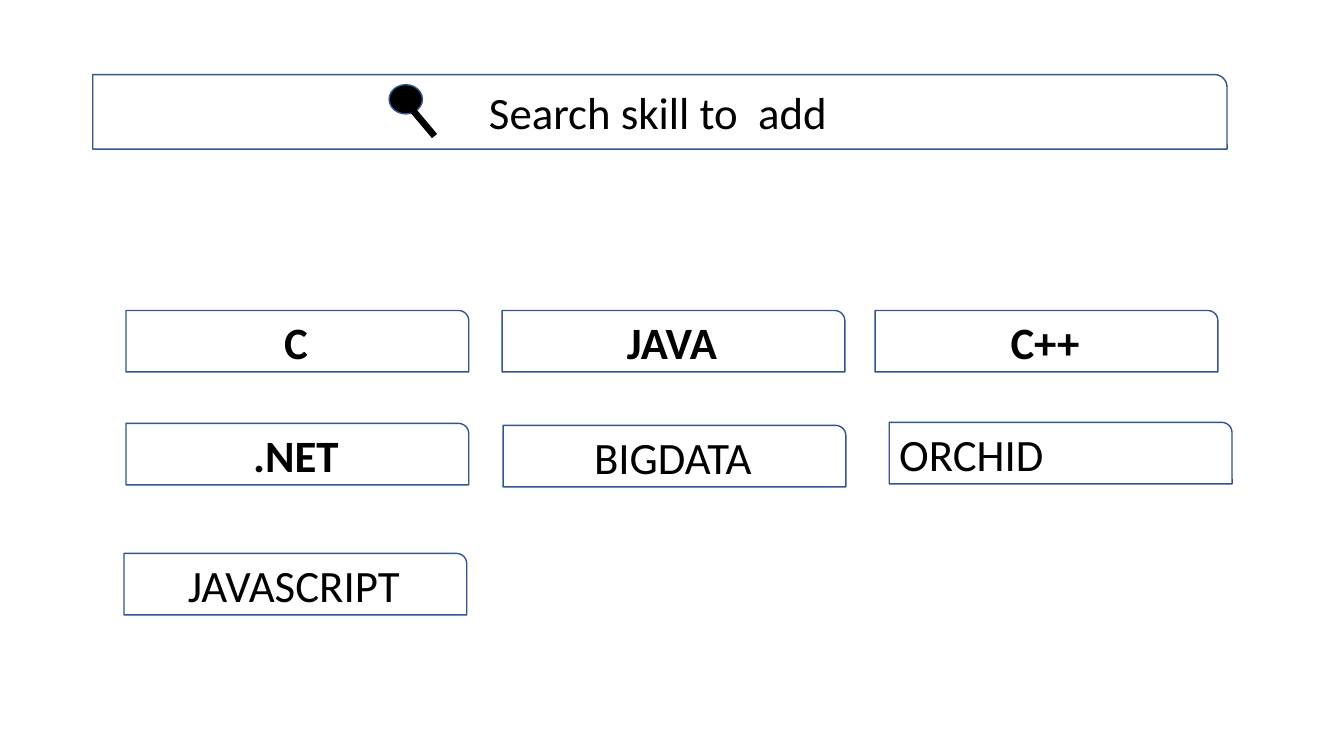
from lxml.etree import SubElement
from pptx import Presentation
from pptx.dml.color import RGBColor
from pptx.enum.shapes import MSO_CONNECTOR, MSO_SHAPE
from pptx.enum.text import MSO_ANCHOR, PP_ALIGN
from pptx.oxml.ns import qn
from pptx.util import Inches, Pt

# Content: skill, column, row, bold, opacity in percent
SEARCH_PROMPT = "Search skill to  add"
SKILLS = [
    ("C", 0, 0, True, 18),
    ("JAVA", 1, 0, True, 24),
    ("C++", 2, 0, True, 24),
    (".NET", 0, 1, True, 24),
    ("BIGDATA", 1, 1, False, 24),
    ("ORCHID", 2, 1, False, 24),
    ("JAVASCRIPT", 0, 2, False, 24),
]

# Layout in inches; nudges shift single boxes off the grid
COLUMN_LEFTS = (1.25, 4.98, 8.68)
ROW_TOPS = (3.08, 4.2, 5.49)
NUDGES = {"BIGDATA": (0.01, 0.02), "ORCHID": (0.14, -0.01), "JAVASCRIPT": (-0.02, 0)}
LEFT_ALIGNED = {"ORCHID"}
BOX_WIDTH, BOX_HEIGHT = 3.4, 0.61

WHITE = RGBColor(0xFF, 0xFF, 0xFF)
BLACK = RGBColor(0x00, 0x00, 0x00)
BLUE = RGBColor(0x32, 0x54, 0x91)


def add_outlined_shape(slide, kind, left, top, width, height, fill):
    shape = slide.shapes.add_shape(
        kind, Inches(left), Inches(top), Inches(width), Inches(height))
    shape.shadow.inherit = False
    shape.fill.solid()
    shape.fill.fore_color.rgb = fill
    shape.line.color.rgb = BLUE
    shape.line.width = Pt(1)
    return shape


def write_text(shape, text, bold=False, align=PP_ALIGN.CENTER):
    frame = shape.text_frame
    frame.word_wrap = True
    frame.vertical_anchor = MSO_ANCHOR.MIDDLE
    paragraph = frame.paragraphs[0]
    paragraph.alignment = align
    run = paragraph.add_run()
    run.text = text
    run.font.name = "Calibri"
    run.font.size = Pt(32)
    run.font.bold = bold
    run.font.color.rgb = BLACK


def set_opacity(shape, percent):
    color = shape.fill._xPr.find(qn("a:solidFill"))[0]
    SubElement(color, qn("a:alpha")).set("val", str(percent * 1000))


def main():
    presentation = Presentation()
    presentation.slide_width = Inches(13.33)
    presentation.slide_height = Inches(7.5)
    slide = presentation.slides.add_slide(presentation.slide_layouts[6])

    # Search bar
    search_bar = add_outlined_shape(
        slide, MSO_SHAPE.ROUND_1_RECTANGLE, 0.92, 0.74, 11.25, 0.74, WHITE)
    write_text(search_bar, SEARCH_PROMPT)

    # Skill boxes
    for skill, column, row, bold, opacity in SKILLS:
        shift_x, shift_y = NUDGES.get(skill, (0, 0))
        box = add_outlined_shape(
            slide, MSO_SHAPE.ROUND_1_RECTANGLE,
            COLUMN_LEFTS[column] + shift_x, ROW_TOPS[row] + shift_y,
            BOX_WIDTH, BOX_HEIGHT, WHITE)
        set_opacity(box, opacity)
        align = PP_ALIGN.LEFT if skill in LEFT_ALIGNED else PP_ALIGN.CENTER
        write_text(box, skill, bold=bold, align=align)

    # Magnifying glass: lens and handle
    add_outlined_shape(
        slide, MSO_SHAPE.FLOWCHART_CONNECTOR, 3.86, 0.84, 0.33, 0.29, BLACK)
    handle = slide.shapes.add_connector(
        MSO_CONNECTOR.STRAIGHT, Inches(4.1), Inches(1.1), Inches(4.31), Inches(1.35))
    handle.line.color.rgb = BLACK
    handle.line.width = Pt(4.75)
    SubElement(handle._element.spPr, qn("a:effectLst"))

    presentation.save("out.pptx")


if __name__ == "__main__":
    main()
